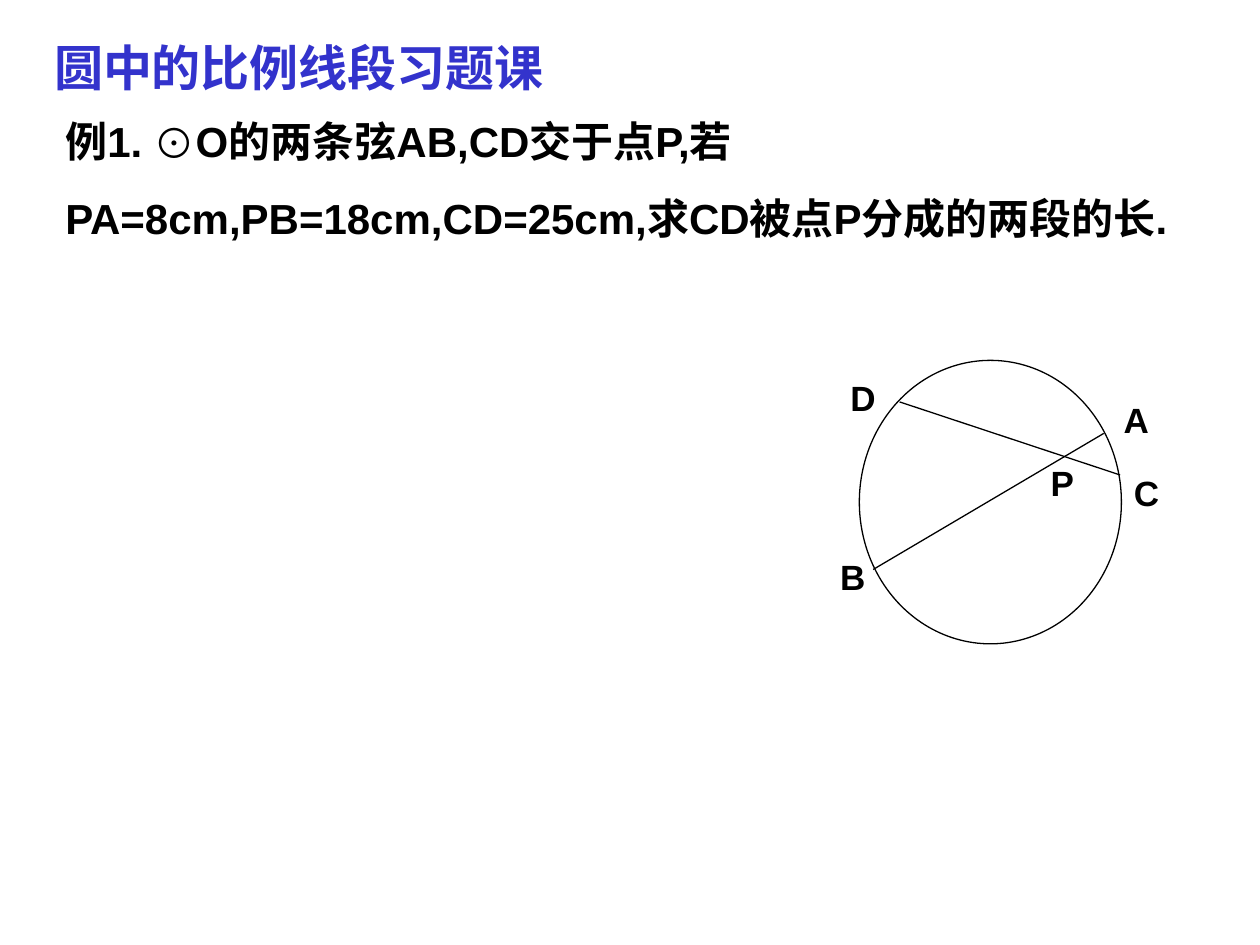
"""Build a geometry exercise slide about two chords that cross in a circle."""
from lxml import etree
from pptx import Presentation
from pptx.dml.color import RGBColor
from pptx.enum.shapes import MSO_CONNECTOR, MSO_SHAPE
from pptx.enum.text import MSO_ANCHOR, MSO_AUTO_SIZE, PP_ALIGN
from pptx.oxml.ns import qn
from pptx.util import Inches, Pt

STRAIGHT = MSO_CONNECTOR.STRAIGHT
OVAL = MSO_SHAPE.OVAL
TOP = MSO_ANCHOR.TOP
NO_FIT = MSO_AUTO_SIZE.NONE
LEFT = PP_ALIGN.LEFT

TITLE_ONLY = 5
FONT = "Arial"
BLUE = "3333CC"
BLACK = "000000"
LINE_WIDTH = Pt(0.75)

TITLE = "圆中的比例线段习题课"
PROBLEM = [
    "例1. ⊙O的两条弦AB,CD交于点P,若",
    "PA=8cm,PB=18cm,CD=25cm,求CD被点P分成的两段的长.",
]
CHORDS = [((6.93, 4.52), (8.76, 3.44)), ((7.14, 3.19), (8.89, 3.77))]
LABELS = {
    "B": (6.57, 4.36),
    "A": (8.82, 3.11),
    "C": (8.9, 3.69),
    "D": (6.65, 2.94),
    "P": (8.24, 3.61),
}


def color(value):
    """Return the colour for a hex string."""
    return RGBColor.from_string(value)


def write_text(box, lines, size, value=BLACK):
    """Fill a box with bold left-aligned paragraphs."""
    frame = box.text_frame
    frame.word_wrap = True
    frame.auto_size = NO_FIT
    frame.vertical_anchor = TOP
    frame.text = "\n".join(lines)
    for index, paragraph in enumerate(frame.paragraphs):
        paragraph.alignment = LEFT
        paragraph.space_before = Pt(15 if index else 0)
        paragraph.font.name = FONT
        paragraph.font.size = Pt(size)
        paragraph.font.bold = True
        paragraph.font.color.rgb = color(value)


def add_title(slide):
    """Place and format the title placeholder."""
    title = slide.shapes.title
    title.left, title.top = Inches(0.33), Inches(0.25)
    title.width, title.height = Inches(4.17), Inches(0.57)
    write_text(title, [TITLE], 28, BLUE)


def add_text(shapes, lines, left, top, width, height, size):
    """Add a text box."""
    box = shapes.add_textbox(Inches(left), Inches(top), Inches(width), Inches(height))
    write_text(box, lines, size)


def add_circle(shapes):
    """Add the unfilled outline of the circle."""
    circle = shapes.add_shape(OVAL, Inches(6.82), Inches(2.86), Inches(2.08), Inches(2.25))
    circle.shadow.inherit = False
    circle.fill.background()
    circle.line.color.rgb = color(BLACK)
    circle.line.width = LINE_WIDTH


def add_chord(shapes, start, end):
    """Add a straight chord between two points."""
    chord = shapes.add_connector(STRAIGHT, *(Inches(value) for value in start + end))
    chord.line.color.rgb = color(BLACK)
    chord.line.width = LINE_WIDTH
    etree.SubElement(chord._element.spPr, qn("a:effectLst"))


def add_figure(slide):
    """Add the circle, its chords and the point labels as one group."""
    shapes = slide.shapes.add_group_shape().shapes
    add_circle(shapes)
    for start, end in CHORDS:
        add_chord(shapes, start, end)
    for letter, (left, top) in LABELS.items():
        add_text(shapes, [letter], left, top, 0.42, 0.44, 20)


def main():
    """Build and save the deck."""
    deck = Presentation()
    deck.slide_width, deck.slide_height = Inches(10), Inches(7.5)
    slide = deck.slides.add_slide(deck.slide_layouts[TITLE_ONLY])
    add_title(slide)
    add_text(slide.shapes, PROBLEM, 0.42, 0.87, 9, 1.51, 24)
    add_figure(slide)
    deck.save("out.pptx")


if __name__ == "__main__":
    main()
